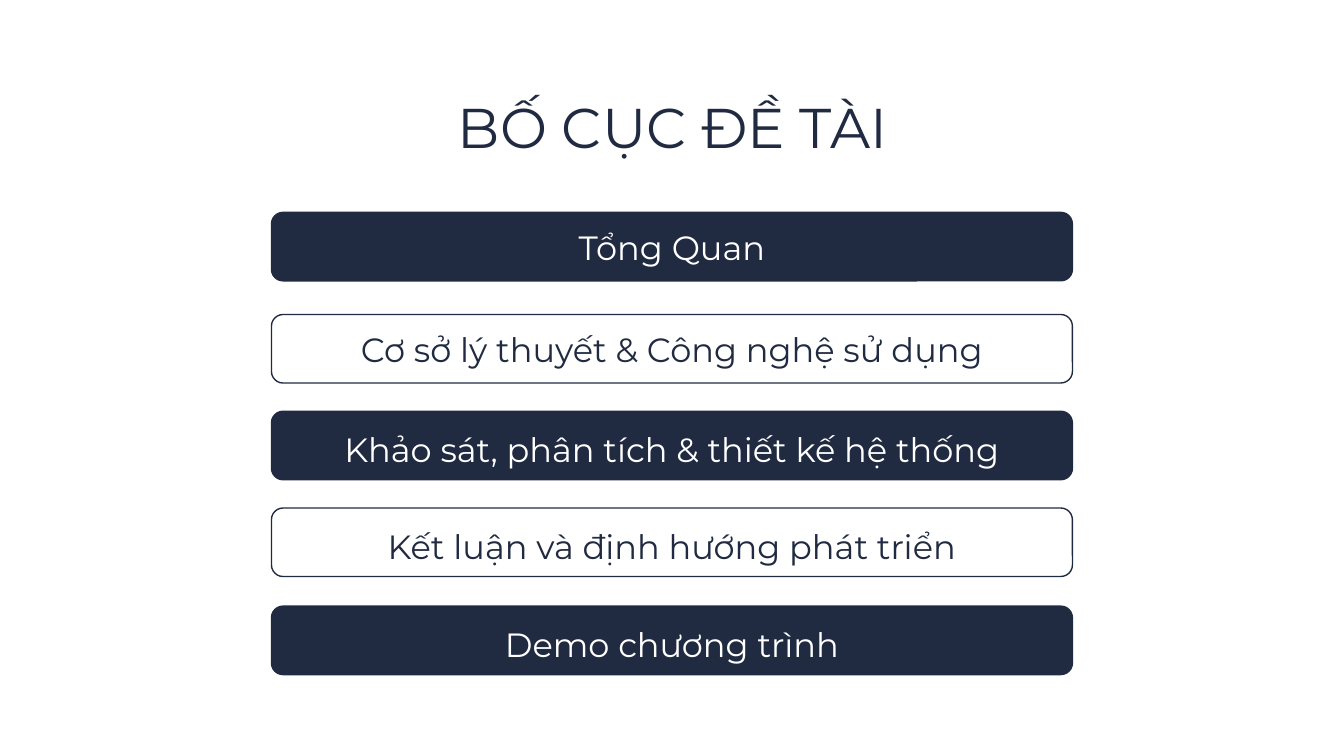
from dataclasses import dataclass

from pptx import Presentation
from pptx.dml.color import RGBColor
from pptx.enum.shapes import MSO_SHAPE
from pptx.enum.text import MSO_ANCHOR, PP_ALIGN
from pptx.util import Inches, Pt

ROUND = MSO_SHAPE.ROUNDED_RECTANGLE
TOP = MSO_ANCHOR.TOP
MIDDLE = MSO_ANCHOR.MIDDLE
CENTER = PP_ALIGN.CENTER
FONT = "Montserrat"
COLORS = {"navy": "202A41", "white": "FFFFFF"}


@dataclass
class Bar:
    text: str
    top: float
    fill: str
    ink: str
    space: float


def color(name: str) -> RGBColor:
    return RGBColor.from_string(COLORS[name])


def write(shape, text: str, size: int, ink: str, anchor, space: float) -> None:
    frame = shape.text_frame
    frame.text = text
    frame.word_wrap = True
    frame.vertical_anchor = anchor
    frame.margin_left = frame.margin_right = Inches(0.1)
    frame.margin_top = frame.margin_bottom = Inches(0.1)
    line = frame.paragraphs[0]
    line.alignment = CENTER
    line.line_spacing = space
    font = line.runs[0].font
    font.name = FONT
    font.size = Pt(size)
    font.color.rgb = color(ink)


def draw_title(slide, text: str) -> None:
    box = slide.shapes.add_textbox(
        Inches(0.79), Inches(0.59), Inches(8.43), Inches(0.63)
    )
    write(box, text, 30, "navy", TOP, 1.0)


def draw_bar(slide, bar: Bar) -> None:
    shape = slide.shapes.add_shape(
        ROUND, Inches(2.02), Inches(bar.top), Inches(5.96), Inches(0.51)
    )
    shape.adjustments[0] = 0.17
    shape.shadow.inherit = False
    shape.fill.solid()
    shape.fill.fore_color.rgb = color(bar.fill)
    shape.line.color.rgb = color("navy")
    shape.line.width = Pt(0.75)
    write(shape, bar.text, 18, bar.ink, MIDDLE, bar.space)


def main() -> None:
    deck = Presentation()
    deck.slide_width = Inches(10)
    deck.slide_height = Inches(10 * 9 / 16)
    slide = deck.slides.add_slide(deck.slide_layouts[6])
    draw_title(slide, "BỐ CỤC ĐỀ TÀI")
    topics = [
        ("Tổng Quan", 1.58, 1.0),
        ("Cơ sở lý thuyết & Công nghệ sử dụng", 2.34, 1.0),
        ("Khảo sát, phân tích & thiết kế hệ thống", 3.06, 1.2),
        ("Kết luận và định hướng phát triển", 3.78, 1.2),
        ("Demo chương trình", 4.51, 1.2),
    ]
    for i, (text, top, space) in enumerate(topics):
        fill, ink = ("white", "navy") if i % 2 else ("navy", "white")
        draw_bar(slide, Bar(text, top, fill, ink, space))
    deck.save("out.pptx")


if __name__ == "__main__":
    main()
